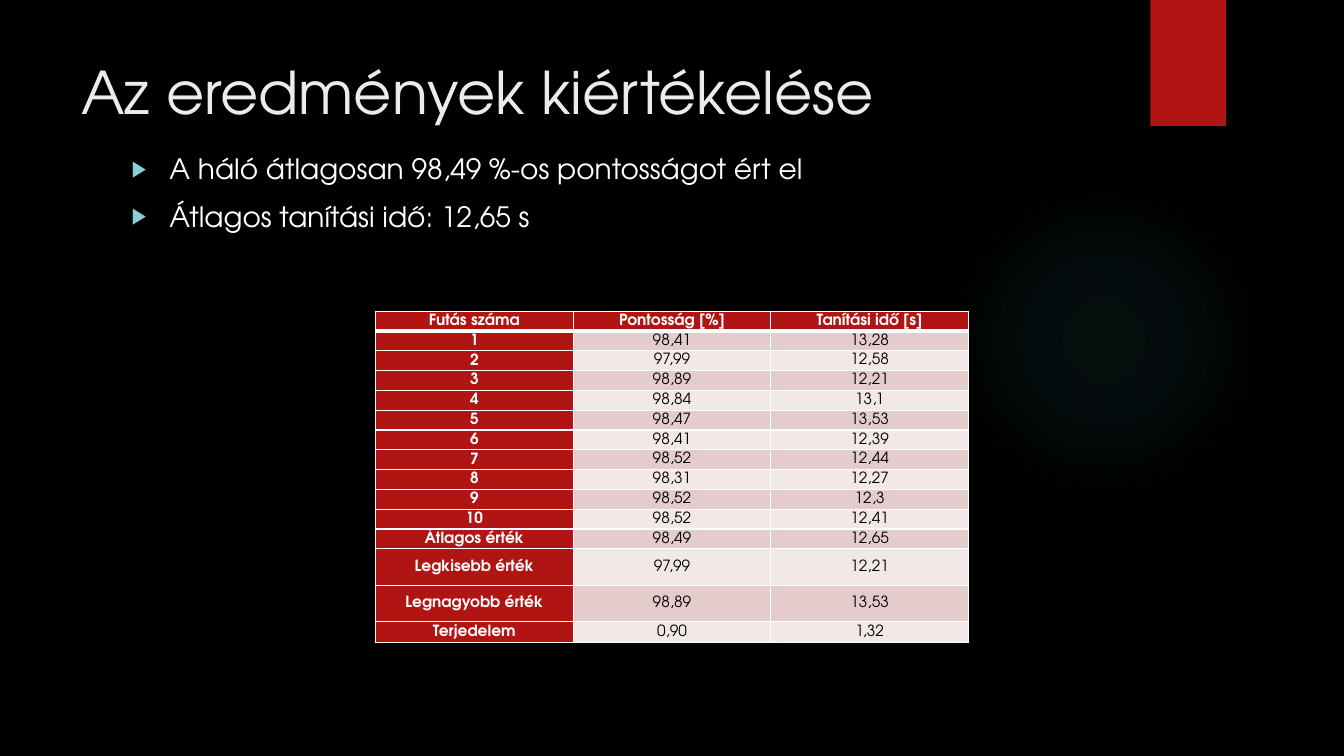
import pptx
import pptx.util
import pptx.oxml
import pptx.oxml.ns
import pptx.dml.color
import pptx.enum.shapes
import pptx.enum.text

Pt = pptx.util.Pt
SHAPE = pptx.enum.shapes.MSO_SHAPE
ALIGN = pptx.enum.text.PP_ALIGN
ANCHOR = pptx.enum.text.MSO_ANCHOR
NS = pptx.oxml.ns.nsdecls("a")

FONT = "TeX Gyre Adventor"
RED, WHITE, BLACK = "B01513", "FFFFFF", "000000"
BANDS = ("E4CCCC", "F2E8E7")
GLOW, GLOW_STOPS = "50B9C1", ((0, 7), (36, 6), (69, 0))

HEADER = ("Futás száma", "Pontosság [%]", "Tanítási idő [s]")
ACCURACY = ("98,41 97,99 98,89 98,84 98,47 98,41 98,52 98,31 98,52 98,52 "
            "98,49 97,99 98,89 0,90").split()
TIMES = ("13,28 12,58 12,21 13,1 13,53 12,39 12,44 12,27 12,3 12,41 "
         "12,65 12,21 13,53 1,32").split()
LABELS = [str(n) for n in range(1, 11)] + [
    "Átlagos érték", "Legkisebb érték", "Legnagyobb érték", "Terjedelem"]
ROW_HEIGHTS = [14.16] * 12 + [26.1] * 2 + [14.8]


def rgb(value):
    return pptx.dml.color.RGBColor.from_string(value)


def xml(text):
    """Parse one element whose start tag carries the mark NS."""
    return pptx.oxml.parse_xml(text.replace("NS", NS, 1))


def write(p, text, size, color, bold=False, align=ALIGN.LEFT):
    p.alignment = align
    r = p.add_run()
    r.text = text
    r.font.name, r.font.size, r.font.bold = FONT, Pt(size), bold
    r.font.color.rgb = rgb(color)


def add_plain_shape(s, kind, x, y, w, h):
    sp = s.shapes.add_shape(kind, Pt(x), Pt(y), Pt(w), Pt(h))
    sp.line.fill.background()
    sp.shadow.inherit = False
    return sp


def add_glow(s, x, y, size):
    sp = add_plain_shape(s, SHAPE.OVAL, x, y, size, size)
    stops = "".join(
        f'<a:gs pos="{pos * 1000}"><a:srgbClr val="{GLOW}">'
        f'<a:alpha val="{alpha * 1000}"/></a:srgbClr></a:gs>'
        for pos, alpha in GLOW_STOPS)
    sp.element.spPr.insert(2, xml(
        f'<a:gradFill NS><a:gsLst>{stops}</a:gsLst><a:path path="circle">'
        '<a:fillToRect l="50000" t="50000" r="50000" b="50000"/>'
        '</a:path></a:gradFill>'))


def add_ribbon(s, x, y, w, h):
    sp = add_plain_shape(s, SHAPE.RECTANGLE, x, y, w, h)
    sp.fill.solid()
    sp.fill.fore_color.rgb = rgb(RED)
    effects = sp.element.spPr.find(pptx.oxml.ns.qn("a:effectLst"))
    effects.append(xml(
        f'<a:outerShdw NS blurRad="{Pt(3)}" dist="{Pt(2)}" dir="5400000">'
        f'<a:srgbClr val="{BLACK}"><a:alpha val="45000"/></a:srgbClr>'
        '</a:outerShdw>'))


def add_text_frame(s, x, y, w, h):
    tf = s.shapes.add_textbox(Pt(x), Pt(y), Pt(w), Pt(h)).text_frame
    tf.word_wrap = True
    return tf


def add_title(s, x, y, w, h, text):
    write(add_text_frame(s, x, y, w, h).paragraphs[0], text, 42, "EBEBEB")


def add_bullets(s, x, y, w, h, lines):
    tf = add_text_frame(s, x, y, w, h)
    for i, line in enumerate(lines):
        p = tf.add_paragraph() if i else tf.paragraphs[0]
        write(p, line, 20, WHITE)
        p.space_before = Pt(10)
        pPr = p._p.get_or_add_pPr()
        pPr.set("marL", str(Pt(27)))
        pPr.set("indent", str(-Pt(27)))
        for bullet in ('<a:buClr NS><a:srgbClr val="8AD0D6"/></a:buClr>',
                       '<a:buSzPct NS val="80000"/>',
                       '<a:buFont NS typeface="Arial"/>',
                       '<a:buChar NS char="▶"/>'):
            pPr.append(xml(bullet))


def format_cell(cell, text, fill, color, bold, top, bottom):
    """Fill a cell; top and bottom are border widths in points."""
    tcPr = cell._tc.get_or_add_tcPr()
    for side, width in (("L", 1), ("R", 1), ("T", top), ("B", bottom)):
        tcPr.append(xml(
            f'<a:ln{side} NS w="{Pt(width)}"><a:solidFill>'
            f'<a:srgbClr val="{WHITE}"/></a:solidFill></a:ln{side}>'))
    cell.fill.solid()
    cell.fill.fore_color.rgb = rgb(fill)
    cell.vertical_anchor = ANCHOR.MIDDLE
    cell.margin_left = cell.margin_right = Pt(3.6)
    cell.margin_top = cell.margin_bottom = 0
    write(cell.text_frame.paragraphs[0], text, 11, color, bold, ALIGN.CENTER)


def add_results(s, x, y, w):
    rows = [HEADER, *zip(LABELS, ACCURACY, TIMES)]
    table = s.shapes.add_table(len(rows), len(HEADER), Pt(x), Pt(y), Pt(w),
                               Pt(sum(ROW_HEIGHTS))).table
    table.horz_banding = False
    for col in table.columns:
        col.width = Pt(w / len(HEADER))
    for i, (row, height) in enumerate(zip(rows, ROW_HEIGHTS)):
        table.rows[i].height = Pt(height)
        for j, text in enumerate(row):
            heading = i == 0 or j == 0
            format_cell(table.cell(i, j), text,
                        fill=RED if heading else BANDS[(i - 1) % 2],
                        color=WHITE if heading else BLACK, bold=heading,
                        top=3 if i == 1 else 1, bottom=3 if i == 0 else 1)


def add_results_slide(prs):
    s = prs.slides.add_slide(prs.slide_layouts[6])
    s.background.fill.solid()
    s.background.fill.fore_color.rgb = rgb(BLACK)
    add_glow(s, 677.5, 131.8, 221.8)
    add_ribbon(s, 821.8, 0, 54, 90)
    add_title(s, 51, 36, 741, 110, "Az eredmények kiértékelése")
    add_results(s, 268.2, 222.3, 423.6)
    add_bullets(s, 87, 105, 704, 330, (
        "A háló átlagosan 98,49 %-os pontosságot ért el",
        "Átlagos tanítási idő: 12,65 s"))


def main():
    prs = pptx.Presentation()
    prs.slide_width, prs.slide_height = Pt(960), Pt(540)
    add_results_slide(prs)
    prs.save("out.pptx")


if __name__ == "__main__":
    main()
